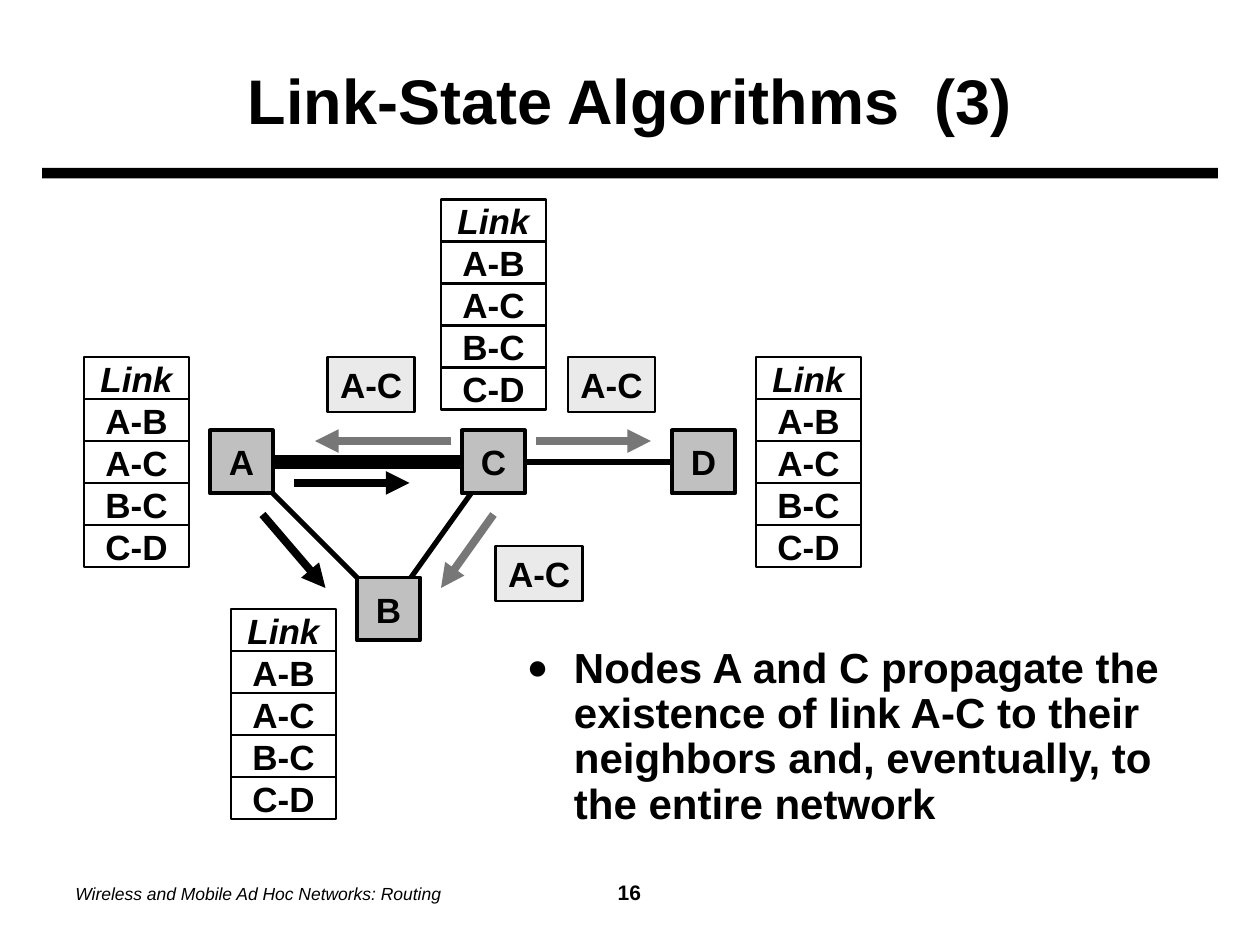
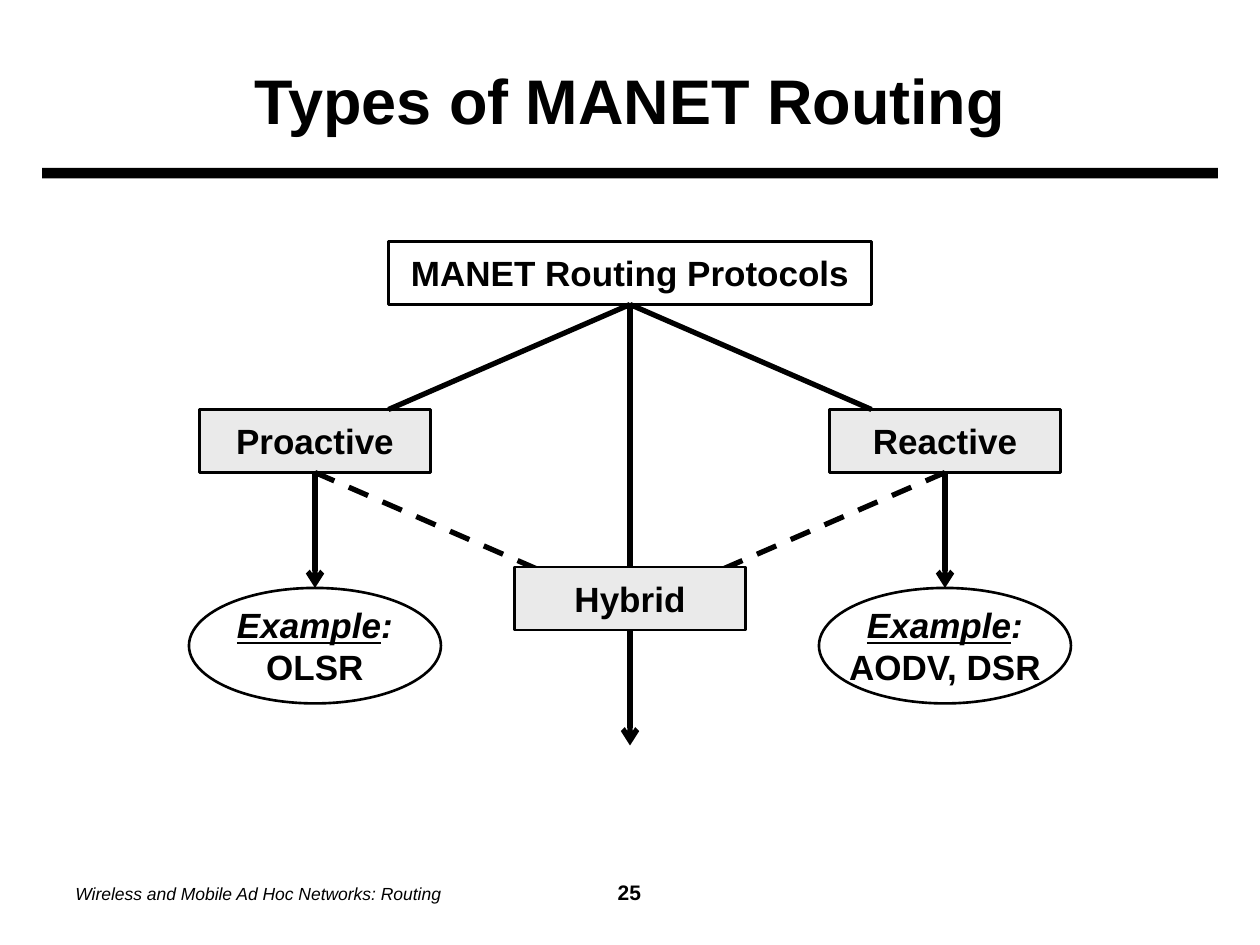
from lxml import etree
from pptx import Presentation
from pptx.dml.color import RGBColor
from pptx.enum.dml import MSO_LINE
from pptx.enum.shapes import MSO_CONNECTOR, MSO_SHAPE
from pptx.enum.text import MSO_ANCHOR, PP_ALIGN
from pptx.oxml.ns import qn
from pptx.util import Cm, Pt

RECTANGLE, OVAL = MSO_SHAPE.RECTANGLE, MSO_SHAPE.OVAL
STRAIGHT = MSO_CONNECTOR.STRAIGHT
DASH = MSO_LINE.DASH
MIDDLE, TOP_ANCHOR = MSO_ANCHOR.MIDDLE, MSO_ANCHOR.TOP
LEFT_ALIGNED, CENTERED = PP_ALIGN.LEFT, PP_ALIGN.CENTER
TOP, LEFT, BOTTOM, RIGHT = range(4)

FONT = "Arial"
COLORS = {
    "ink": "000000",
    "paper": "FFFFFF",
    "node": "C0C0C0",
    "label": "EAEAEA",
    "flood": "777777",
}
BOLD = {"size": 20, "bold": True}
BOLD_ITALIC = {"size": 20, "bold": True, "italic": True}
UNDERLINED = {"size": 20, "bold": True, "italic": True, "underline": True}
FOOTER_TEXT = "Wireless and Mobile Ad Hoc Networks: Routing"
LINKS = ["A-B", "A-C", "B-C", "C-D"]


def grid(steps):
    """Return a length in steps of a twelfth of an inch."""
    return Cm(2.54 * steps / 12)


def color(name):
    return RGBColor.from_string(COLORS[name])


def add_xml(parent, tag, **attributes):
    return etree.SubElement(parent, qn(tag), attributes)


def write_text(frame, paragraphs, alignment=CENTERED, anchor=MIDDLE, wrap=False):
    frame.word_wrap = wrap
    frame.vertical_anchor = anchor
    for index, runs in enumerate(paragraphs):
        paragraph = frame.add_paragraph() if index else frame.paragraphs[0]
        paragraph.alignment = alignment
        for text, style in runs:
            run = paragraph.add_run()
            run.text = text
            font = run.font
            font.name = FONT
            font.size = Pt(style["size"])
            font.bold = style.get("bold", False)
            font.italic = style.get("italic", False)
            font.underline = style.get("underline", False)
            font.color.rgb = color("ink")


def add_text_box(slide, place, paragraphs, **options):
    text_box = slide.shapes.add_textbox(*map(grid, place))
    write_text(text_box.text_frame, paragraphs, **options)
    return text_box.text_frame.paragraphs[0]


def add_box(shapes, place, paragraphs, fill="paper", outline=1.5, kind=RECTANGLE):
    shape = shapes.add_shape(kind, *map(grid, place))
    shape.shadow.inherit = False
    shape.fill.solid()
    shape.fill.fore_color.rgb = color(fill)
    if outline:
        shape.line.color.rgb = color("ink")
        shape.line.width = Pt(outline)
    else:
        shape.line.fill.background()
    write_text(shape.text_frame, paragraphs)
    return shape


def add_line(slide, start, end, width=3, stroke="ink", dash=None, arrowhead=None):
    """Draw a line; each end is a grid point or a (shape, side) pair."""
    connector = slide.shapes.add_connector(STRAIGHT, 0, 0, 0, 0)
    if isinstance(start[0], int):
        connector.begin_x, connector.begin_y = map(grid, start)
    else:
        connector.begin_connect(*start)
    if isinstance(end[0], int):
        connector.end_x, connector.end_y = map(grid, end)
    else:
        connector.end_connect(*end)
    connector.line.color.rgb = color(stroke)
    connector.line.width = Pt(width)
    if dash:
        connector.line.dash_style = dash
    properties = connector.element.spPr
    if arrowhead:
        add_xml(properties.find(qn("a:ln")), "a:tailEnd", type=arrowhead)
    add_xml(properties, "a:effectLst")


def add_footer(slide, number):
    runs = [
        (FOOTER_TEXT, {"size": 10, "italic": True}),
        (f"\t {number}", {"size": 12, "bold": True}),
    ]
    paragraph = add_text_box(slide, (6, 82, 108, 6), [runs], alignment=LEFT_ALIGNED)
    tabs = add_xml(paragraph._p.get_or_add_pPr(), "a:tabLst")
    add_xml(tabs, "a:tab", pos=str(Cm(11.11)), algn="ctr")


def start_slide(presentation, title, number):
    slide = presentation.slides.add_slide(presentation.slide_layouts[6])
    add_box(slide.shapes, (4, 16, 112, 1), [], fill="ink", outline=None)
    add_footer(slide, number)
    heading = [(title, {"size": 36, "bold": True})]
    add_text_box(slide, (6, 3, 108, 13), [heading], wrap=True)
    return slide


def add_bullet(slide, place, text):
    runs = [(text, {"size": 24, "bold": True})]
    paragraph = add_text_box(
        slide, place, [runs], alignment=LEFT_ALIGNED, anchor=TOP_ANCHOR, wrap=True
    )
    properties = paragraph._p.get_or_add_pPr()
    properties.set("marL", str(Cm(0.95)))
    properties.set("indent", str(Cm(-0.95)))
    bullet_color = add_xml(properties, "a:buClr")
    add_xml(bullet_color, "a:srgbClr", val=COLORS["ink"])
    add_xml(properties, "a:buSzPct", val="85000")
    add_xml(properties, "a:buFont", typeface=FONT)
    add_xml(properties, "a:buChar", char="●")
    paragraph.line_spacing = 0.9


def add_link_list(slide, left, top):
    group = slide.shapes.add_group_shape()
    for row, text in enumerate(["Link"] + LINKS):
        style = BOLD if row else BOLD_ITALIC
        add_box(group.shapes, (left, top + 4 * row, 10, 4), [[(text, style)]])


def add_node(slide, name, left, top):
    return add_box(
        slide.shapes, (left, top, 6, 6), [[(name, BOLD)]], fill="node", outline=2.25
    )


def add_protocol_class(slide, name, left, top):
    return add_box(slide.shapes, (left, top, 22, 6), [[(name, BOLD)]], fill="label")


def add_example(slide, protocol_class, left, protocols):
    paragraphs = [[("Example", UNDERLINED), (":", BOLD_ITALIC)], [(protocols, BOLD)]]
    example = add_box(slide.shapes, (left, 56, 24, 11), paragraphs, kind=OVAL)
    add_line(slide, (protocol_class, BOTTOM), (example, TOP), arrowhead="arrow")


def build_link_state_slide(presentation):
    slide = start_slide(presentation, "Link-State Algorithms  (3)", 16)
    add_bullet(
        slide,
        (49, 61, 65, 20),
        "Nodes A and C propagate the existence of link A-C to their "
        "neighbors and, eventually, to the entire network",
    )
    center_b = (37, 58)
    for center in [(23, 44), (47, 44)]:
        add_line(slide, center, center_b)
    node_a = add_node(slide, "A", 20, 41)
    add_node(slide, "B", 34, 55)
    node_c = add_node(slide, "C", 44, 41)
    node_d = add_node(slide, "D", 64, 41)
    add_line(slide, (node_a, RIGHT), (node_c, LEFT), width=8)
    add_line(slide, (node_c, RIGHT), (node_d, LEFT))

    for left, top in [(42, 19), (8, 34), (22, 58), (72, 34)]:
        add_link_list(slide, left, top)
    for left, top in [(31.2, 34), (54.1, 34), (47.2, 52)]:
        place = (left, top, 8.3, 5.25)
        add_box(slide.shapes, place, [[("A-C", BOLD)]], fill="label")

    updates = [
        ((43, 42), (30, 42), "flood"),
        ((47, 49), (42, 56), "flood"),
        ((51, 42), (62, 42), "flood"),
        ((28, 46), (39, 46), "ink"),
        ((25, 49), (31, 56), "ink"),
    ]
    for start, end, stroke in updates:
        add_line(slide, start, end, width=4.5, stroke=stroke, arrowhead="triangle")


def build_routing_types_slide(presentation):
    slide = start_slide(presentation, "Types of MANET Routing", 25)
    root = add_box(slide.shapes, (37, 23, 46, 6), [[("MANET Routing Protocols", BOLD)]])
    branches = [
        ("Proactive", 19, 37, 53, 18, "OLSR"),
        ("Reactive", 79, 83, 67, 78, "AODV, DSR"),
    ]
    for name, left, root_line_x, hybrid_line_x, example_left, protocols in branches:
        protocol_class = add_protocol_class(slide, name, left, 39)
        add_line(slide, (root, BOTTOM), (root_line_x, 39))
        add_line(slide, (protocol_class, BOTTOM), (hybrid_line_x, 55), dash=DASH)
        add_example(slide, protocol_class, example_left, protocols)
    hybrid = add_protocol_class(slide, "Hybrid", 49, 54)
    add_line(slide, (root, BOTTOM), (hybrid, TOP))
    add_line(slide, (hybrid, BOTTOM), (60, 71), arrowhead="arrow")


def main():
    presentation = Presentation()
    presentation.slide_width = Cm(25.4)
    presentation.slide_height = Cm(19.05)
    build_link_state_slide(presentation)
    build_routing_types_slide(presentation)
    presentation.save("out.pptx")


if __name__ == "__main__":
    main()
